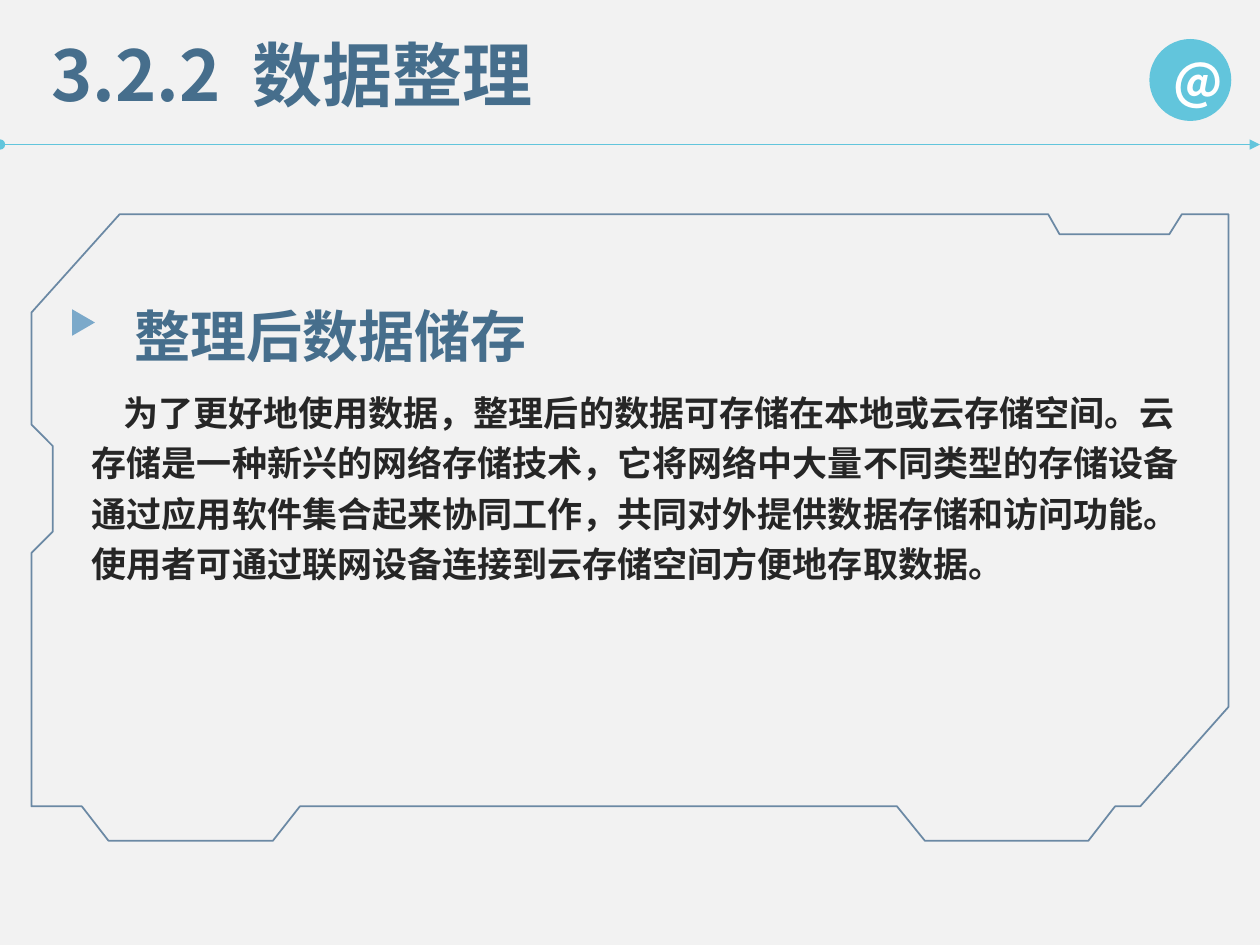
from lxml.etree import SubElement
from pptx import Presentation
from pptx.dml.color import RGBColor
from pptx.enum.shapes import MSO_CONNECTOR, MSO_SHAPE
from pptx.enum.text import MSO_ANCHOR, MSO_AUTO_SIZE, PP_ALIGN
from pptx.oxml.ns import qn
from pptx.util import Pt

FONT = "Noto Sans CJK SC"
BLUE, CYAN = "466E8C", "62C5DC"


def paint(color, code):
    color.rgb = RGBColor.from_string(code)


def style(para, size, code, align=PP_ALIGN.LEFT):
    """Format all runs of a paragraph, for Latin and East Asian text."""
    para.alignment = align
    for run in para.runs:
        run.font.size = Pt(size)
        run.font.bold = True
        run.font.name = FONT
        paint(run.font.color, code)
        SubElement(run.font._element, qn("a:ea"), typeface=FONT)


deck = Presentation()
deck.slide_width, deck.slide_height = Pt(720), Pt(540)
slide = deck.slides.add_slide(deck.slide_layouts[5])
shapes = slide.shapes
slide.background.fill.solid()
paint(slide.background.fill.fore_color, "F2F2F2")

# Title
title = shapes.title
title.left, title.top, title.width, title.height = Pt(22.3), Pt(14.4), Pt(496.8), Pt(55.4)
frame = title.text_frame
frame.auto_size = MSO_AUTO_SIZE.NONE
frame.vertical_anchor = MSO_ANCHOR.TOP
para = frame.paragraphs[0]
for part in ("3.2.2", " ", "数据整理"):
    para.add_run().text = part
style(para, 40, BLUE)
para.runs[1].font._element.set("spc", "900")  # widen the gap after the number

# Header line
rule = shapes.add_connector(MSO_CONNECTOR.STRAIGHT, 0, Pt(82.6), Pt(720), Pt(82.6))
rule.line.width = Pt(0.5)
paint(rule.line.color, CYAN)
ends = rule.line._get_or_add_ln()
SubElement(ends, qn("a:headEnd"), type="oval")
SubElement(ends, qn("a:tailEnd"), type="triangle")
SubElement(rule._element.spPr, qn("a:effectLst"))

# Badge and bullet mark
badge = shapes.add_shape(MSO_SHAPE.OVAL, Pt(656.8), Pt(22.3), Pt(46.8), Pt(46.8))
mark = shapes.add_shape(MSO_SHAPE.ISOSCELES_TRIANGLE, Pt(40.2), Pt(177.8), Pt(15.1), Pt(13))
mark.rotation = 90
for shape, code in ((badge, CYAN), (mark, "7BA9CA")):
    shape.shadow.inherit = False
    shape.fill.solid()
    paint(shape.fill.fore_color, code)
    shape.line.fill.background()
badge.text_frame.text = "@"
badge.text_frame.vertical_anchor = MSO_ANCHOR.MIDDLE
style(badge.text_frame.paragraphs[0], 28, "FFFFFF", PP_ALIGN.CENTER)

# Heading and body
body = (
    "为了更好地使用数据，整理后的数据可存储在本地或云存储空间。"
    "云存储是一种新兴的网络存储技术，它将网络中大量不同类型的存储设备"
    "通过应用软件集合起来协同工作，共同对外提供数据存储和访问功能。"
    "使用者可通过联网设备连接到云存储空间方便地存取数据。"
)
texts = (
    ("整理后数据储存", (69.8, 149.8, 447.8, 58.3), 32, BLUE, 1.5, 0, 0),
    (body, (45.4, 215.3, 637.9, 123.8), 20, "262626", 1.2, 10, 18),
)
for text, place, size, code, space, after, indent in texts:
    box = shapes.add_textbox(*map(Pt, place))
    box.text_frame.word_wrap = True
    para = box.text_frame.paragraphs[0]
    para.text = text
    para.line_spacing = space
    para.space_after = Pt(after)
    para._p.get_or_add_pPr().set("indent", str(Pt(indent)))
    style(para, size, code)

# Notched frame around the content, clockwise from the top left
left, right, top, base, foot = 18, 702, 122.4, 460.8, 480.4
points = (
    (68.4, top), (599, top), (605.5, 133.9), (668.2, 133.9), (675.4, top), (right, top),
    (right, 404), (651.6, base), (637.2, base), (622, foot), (528.5, foot), (512.6, base),
    (171.4, base), (156, foot), (62, foot), (46.8, base), (left, base),
    (left, 316), (30.2, 303.8), (30.2, 254.9), (left, 242.6), (left, 178.6),
)
first, *rest = [(Pt(x), Pt(y)) for x, y in points]
pen = shapes.build_freeform(*first)
pen.add_line_segments(rest, close=True)
border = pen.convert_to_shape()
border.shadow.inherit = False
border.fill.background()
border.line.width = Pt(1)
paint(border.line.color, "1F4E79")
tone = border.line._get_or_add_ln().find(".//" + qn("a:srgbClr"))
SubElement(tone, qn("a:alpha"), val="64000")

deck.save("out.pptx")
